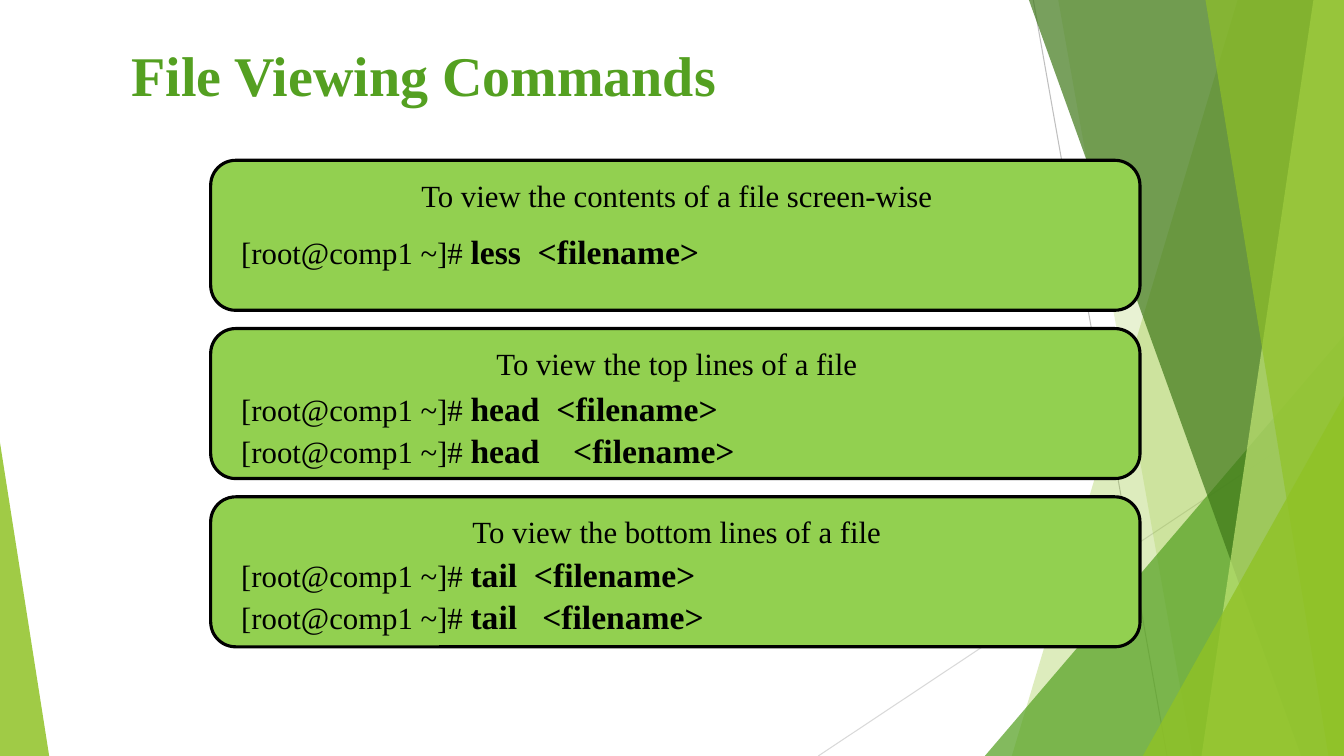
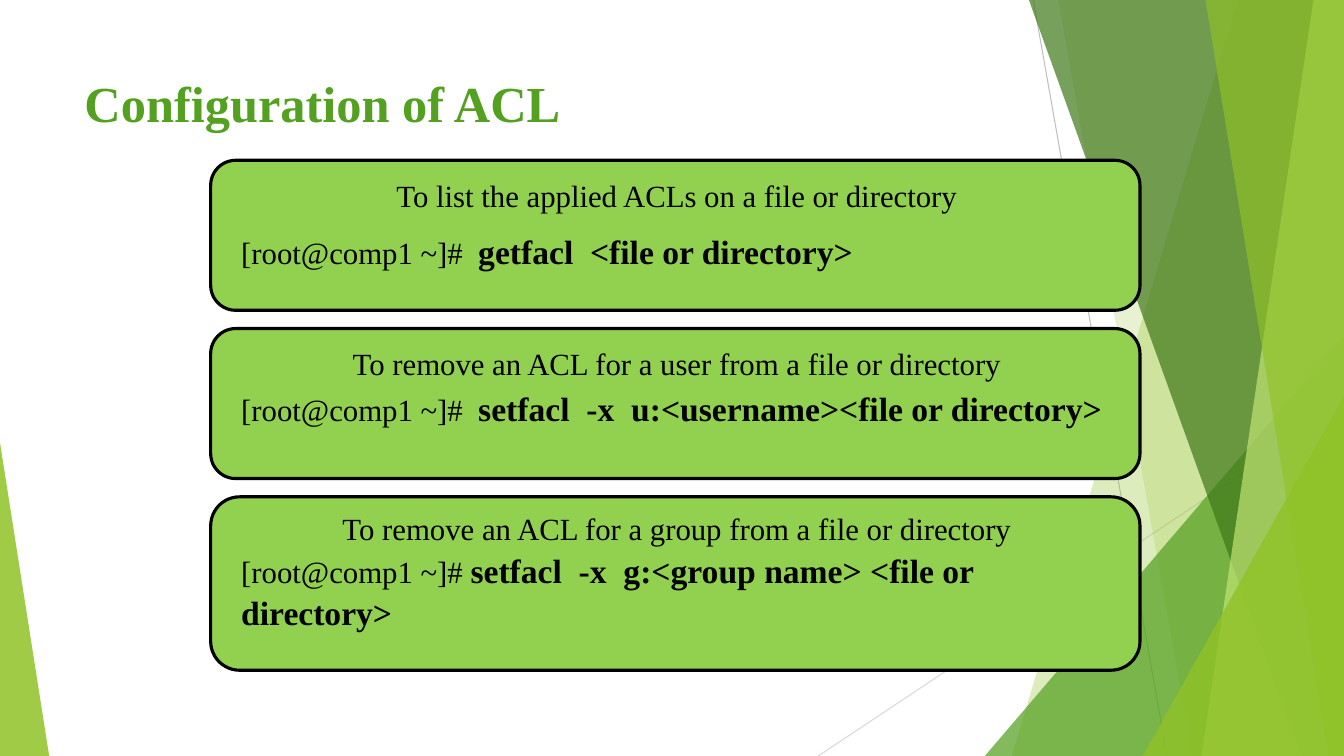
from lxml import etree
from pptx import Presentation
from pptx import util as u
from pptx.dml.color import RGBColor
from pptx.enum import shapes, text
from pptx.oxml import ns

WHITE = RGBColor(0xFF, 0xFF, 0xFF)
BLACK = RGBColor(0x00, 0x00, 0x00)
CARD_GREEN = RGBColor(0x92, 0xD0, 0x50)
LEAF = RGBColor(0x90, 0xC2, 0x26)
LIME = RGBColor(0xC0, 0xE4, 0x74)
GREEN = RGBColor(0x54, 0xA0, 0x21)
FOREST = RGBColor(0x3F, 0x78, 0x19)
GREY = RGBColor(0xBF, 0xBF, 0xBF)
PALE_GREY = RGBColor(0xD9, 0xD9, 0xD9)

WIDTH, HEIGHT = 33.87, 19.05
CARD_LEFT, CARD_TOP, CARD_WIDTH, CARD_PITCH = 5.31, 4.04, 23.42, 4.24
CARD_HEIGHT = 3.78
TEXT_INDENT, TEXT_WIDTH = 0.52, 22.45

HEADING = {"size": u.Pt(22), "bold": False, "color": BLACK}
PROMPT = HEADING
COMMAND = {"size": u.Pt(24), "bold": True, "color": BLACK}
COMMAND_LINE = {"line_spacing": u.Pt(30)}
CENTRED = {"alignment": text.PP_ALIGN.CENTER}


class Deck:
    font = "Times New Roman"

    def __init__(self):
        self.file = Presentation()
        self.file.slide_width, self.file.slide_height = u.Cm(WIDTH), u.Cm(HEIGHT)
        self.slide = None

    def apply(self, target, values):
        for name, value in values.items():
            if name == "color":
                target.color.rgb = value
            else:
                setattr(target, name, value)

    def new_slide(self):
        self.slide = self.file.slides.add_slide(self.file.slide_layouts[6])
        background = self.slide.background.fill
        background.solid()
        background.fore_color.rgb = WHITE
        self.backdrop()

    def hairline(self, start, end, color):
        line = self.slide.shapes.add_connector(
            shapes.MSO_CONNECTOR.STRAIGHT, *map(u.Cm, start + end))
        self.apply(line.line, {"color": color, "width": u.Pt(0.75)})
        etree.SubElement(line._element.spPr, ns.qn("a:effectLst"))

    def tint(self, facet, color, opacity):
        facet.shadow.inherit = False
        facet.line.fill.background()
        facet.fill.solid()
        facet.fill.fore_color.rgb = color
        rgb = facet._element.spPr.find(".//" + ns.qn("a:srgbClr"))
        etree.SubElement(rgb, ns.qn("a:alpha"), val=str(opacity * 1000))

    def shard(self, top_x, bottom_x, color, opacity):
        outline = self.slide.shapes.build_freeform(u.Cm(top_x), 0)
        corners = [(WIDTH, 0), (WIDTH, HEIGHT), (bottom_x, HEIGHT)]
        outline.add_line_segments([(u.Cm(x), u.Cm(y)) for x, y in corners])
        self.tint(outline.convert_to_shape(), color, opacity)

    def corner(self, left, top, width, apex, color, opacity):
        triangle = self.slide.shapes.add_shape(
            shapes.MSO_SHAPE.ISOSCELES_TRIANGLE,
            *map(u.Cm, (left, top, width, HEIGHT - top)))
        triangle.adjustments[0] = apex
        self.tint(triangle, color, opacity)

    def backdrop(self):
        self.hairline((26.04, 0), (29.41, HEIGHT), GREY)
        self.hairline((WIDTH, 10.24), (20.62, HEIGHT), PALE_GREY)
        self.shard(31.19, 25.5, LEAF, 30)
        self.shard(26.67, 30.05, LEAF, 20)
        self.corner(24.82, 8.46, 9.05, 1, GREEN, 72)
        self.shard(25.93, 32.79, FOREST, 70)
        self.shard(33.1, 30.28, LIME, 70)
        self.shard(30.38, 33.48, LEAF, 65)
        self.corner(28.8, 9.98, 5.07, 1, LEAF, 80)
        self.corner(0, 11.15, 1.24, 0, LEAF, 85)

    def words(self, box, lines, layout):
        frame = self.slide.shapes.add_textbox(*map(u.Cm, box)).text_frame
        frame.word_wrap = True
        for number, line in enumerate(lines):
            paragraph = frame.add_paragraph() if number else frame.paragraphs[0]
            self.apply(paragraph, layout)
            for wording, style in line:
                run = paragraph.add_run()
                run.text = wording
                self.apply(run.font, {"name": self.font, **style})

    def title(self, wording, box, size):
        style = {"size": u.Pt(size), "bold": True, "color": GREEN}
        self.words(box, [[(wording, style)]], {})

    def card(self, row, heading, commands, heading_drop=0.28,
             command_drop=1.32, height=CARD_HEIGHT):
        top = CARD_TOP + row * CARD_PITCH
        panel = self.slide.shapes.add_shape(
            shapes.MSO_SHAPE.ROUNDED_RECTANGLE,
            *map(u.Cm, (CARD_LEFT, top, CARD_WIDTH, height)))
        panel.shadow.inherit = False
        panel.fill.solid()
        panel.fill.fore_color.rgb = CARD_GREEN
        self.apply(panel.line, {"color": BLACK, "width": u.Pt(2.25)})
        left = CARD_LEFT + TEXT_INDENT
        self.words((left, top + heading_drop, TEXT_WIDTH, 1.2),
                   [[(heading, HEADING)]], CENTRED)
        lines = [[(prompt, PROMPT), (command, COMMAND)]
                 for prompt, command in commands]
        self.words((left, top + command_drop, TEXT_WIDTH, 1.32 * len(lines)),
                   lines, COMMAND_LINE)


def main():
    prompt = "[root@comp1 ~]# "
    wide_prompt = prompt + " "
    deck = Deck()

    deck.new_slide()
    deck.title("File Viewing Commands", (3.07, 0.89, 16.94, 1.85), 40)
    deck.card(0, "To view the contents of a file screen-wise",
              [(prompt, "less  <filename>")], command_drop=1.6)
    deck.card(1, "To view the top lines of a file",
              [(prompt, "head  <filename>"), (prompt, "head    <filename>")])
    deck.card(2, "To view the bottom lines of a file",
              [(prompt, "tail  <filename>"), (prompt, "tail   <filename>")],
              command_drop=1.27)

    deck.new_slide()
    deck.title("Configuration of ACL", (1.88, 1.7, 23.88, 1.85), 36)
    deck.card(0, "To list the applied ACLs on a file or directory",
              [(wide_prompt, "getfacl  <file or directory>")], command_drop=1.6)
    deck.card(1, "To remove an ACL for a user from a file or directory",
              [(wide_prompt, "setfacl  -x  u:<username><file or directory>")])
    deck.card(2, "To remove an ACL for a group from a file or directory",
              [(prompt, "setfacl  -x  g:<group name> <file or directory>")],
              heading_drop=0.2, command_drop=1.17, height=4.37)

    deck.file.save("out.pptx")


if __name__ == "__main__":
    main()
